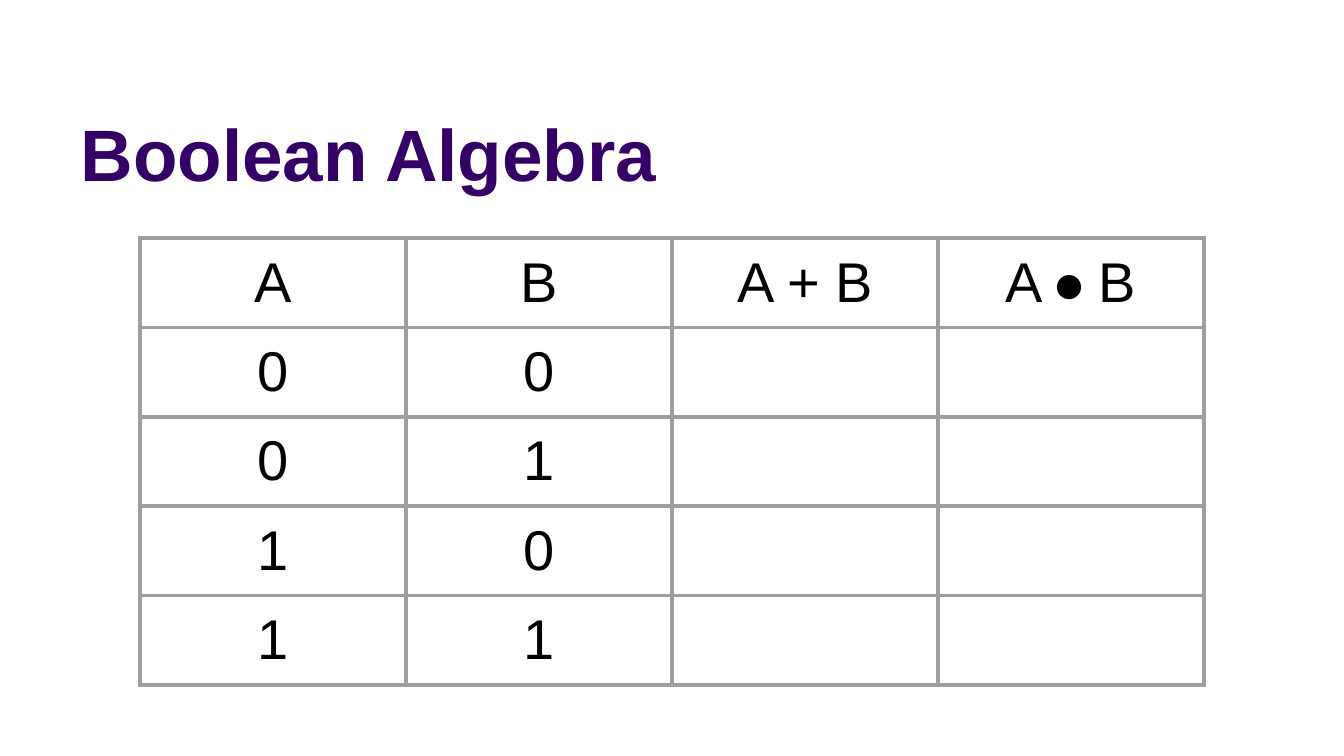
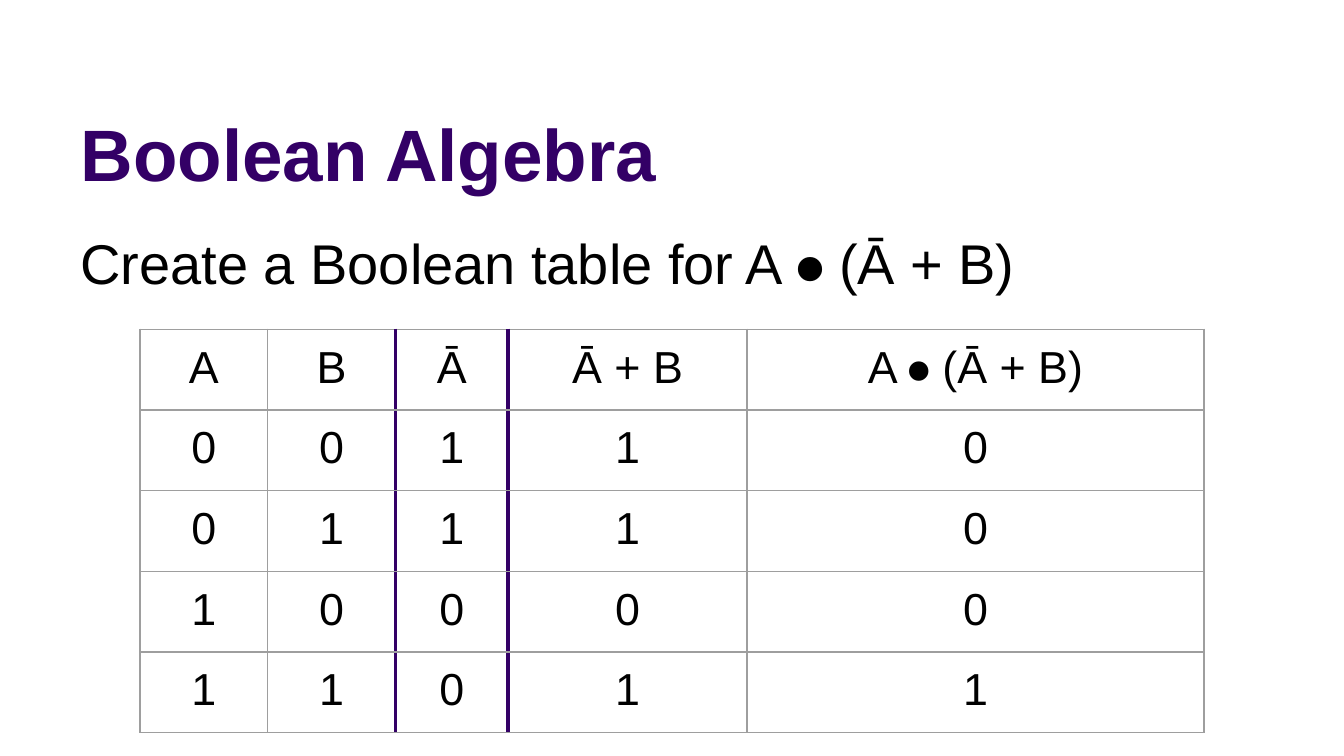
from lxml.etree import SubElement
from pptx import Presentation
from pptx.dml.color import RGBColor
from pptx.enum.text import MSO_ANCHOR, MSO_AUTO_SIZE, PP_ALIGN
from pptx.oxml.ns import qn
from pptx.util import Pt

PURPLE = RGBColor(0x33, 0x00, 0x66)
GRAY = RGBColor(0x9E, 0x9E, 0x9E)
BLACK = RGBColor(0x00, 0x00, 0x00)
FONT = "Arial"
TITLE_ONLY = 5
LEFT = 36
TABLE_LEFT = 75
ROW_HEIGHT = 30
ACCENT_WIDTH = 2.25


class Deck:
    """Holds the shared style and the current slide."""

    def __init__(self):
        """Start an empty widescreen presentation."""
        self.presentation = Presentation()
        self.presentation.slide_width = Pt(720)
        self.presentation.slide_height = Pt(405)
        self.slide = None

    def add_slide(self, title):
        """Add a slide with its title."""
        layout = self.presentation.slide_layouts[TITLE_ONLY]
        self.slide = self.presentation.slides.add_slide(layout)
        shape = self.slide.shapes.title
        shape.left, shape.top = Pt(LEFT), Pt(7.2)
        shape.width, shape.height = Pt(651.6), Pt(101.5)
        frame = shape.text_frame
        frame.auto_size = MSO_AUTO_SIZE.NONE
        frame.vertical_anchor = MSO_ANCHOR.BOTTOM
        self.add_text(frame, title, 39, PURPLE, PP_ALIGN.LEFT, bold=True)

    def add_text(self, frame, text, size, color=BLACK, alignment=PP_ALIGN.CENTER, bold=False):
        """Add one run to the first paragraph of a text frame."""
        paragraph = frame.paragraphs[0]
        paragraph.alignment = alignment
        run = paragraph.add_run()
        run.text = text
        run.font.name = FONT
        run.font.size = Pt(size)
        run.font.bold = bold
        run.font.color.rgb = color

    def add_body(self, text):
        """Add the body text below the title."""
        shape = self.slide.shapes.add_textbox(Pt(LEFT), Pt(99.4), Pt(648), Pt(270.7))
        frame = shape.text_frame
        frame.word_wrap = True
        frame.margin_top = Pt(23)
        self.add_text(frame, text, 30, alignment=PP_ALIGN.LEFT)

    def add_border(self, cell, side, color, width):
        """Draw one border of a cell; side is L, R, T or B."""
        properties = cell._tc.get_or_add_tcPr()
        line = SubElement(properties, qn(f"a:ln{side}"), w=str(Pt(width)))
        fill = SubElement(line, qn("a:solidFill"))
        SubElement(fill, qn("a:srgbClr"), val=str(color))

    def add_truth_table(self, top, widths, rows, size, line_width, accents=()):
        """Add a truth table; accents are column boundaries drawn in purple."""
        shape = self.slide.shapes.add_table(
            len(rows), len(widths), Pt(TABLE_LEFT), Pt(top),
            Pt(sum(widths)), Pt(ROW_HEIGHT * len(rows)))
        table = shape.table
        table.first_row = table.horz_banding = False
        for column, width in zip(table.columns, widths):
            column.width = Pt(width)
        for row_index, values in enumerate(rows):
            table.rows[row_index].height = Pt(ROW_HEIGHT)
            for column_index, value in enumerate(values):
                cell = table.cell(row_index, column_index)
                cell.margin_left = cell.margin_right = Pt(7.2)
                cell.margin_top = cell.margin_bottom = Pt(7.2)
                for side, boundary in (("L", column_index), ("R", column_index + 1),
                                       ("T", None), ("B", None)):
                    if boundary in accents:
                        self.add_border(cell, side, PURPLE, ACCENT_WIDTH)
                    else:
                        self.add_border(cell, side, GRAY, line_width)
                cell.fill.background()
                if value:
                    self.add_text(cell.text_frame, value, size)


TITLE = "Boolean Algebra"
FORMULA = "A ⦁ (Ā + B)"
INPUTS = ["00", "01", "10", "11"]

deck = Deck()

deck.add_slide(TITLE)
exercise = [["A", "B", "A + B", "A ⦁ B"]] + [[*pair, "", ""] for pair in INPUTS]
deck.add_truth_table(127.5, [142.5] * 4, exercise, size=30, line_width=2.25)

deck.add_slide(TITLE)
deck.add_body(f"Create a Boolean table for {FORMULA}")
solution = [["A", "B", "Ā", "Ā + B", FORMULA]]
for pair, results in zip(INPUTS, ["110", "110", "000", "011"]):
    solution.append([*pair, *results])
deck.add_truth_table(176.4, [68.4, 68.4, 60.4, 128, 244.8], solution,
                     size=24, line_width=0.75, accents=(2, 3))

deck.presentation.save("out.pptx")
